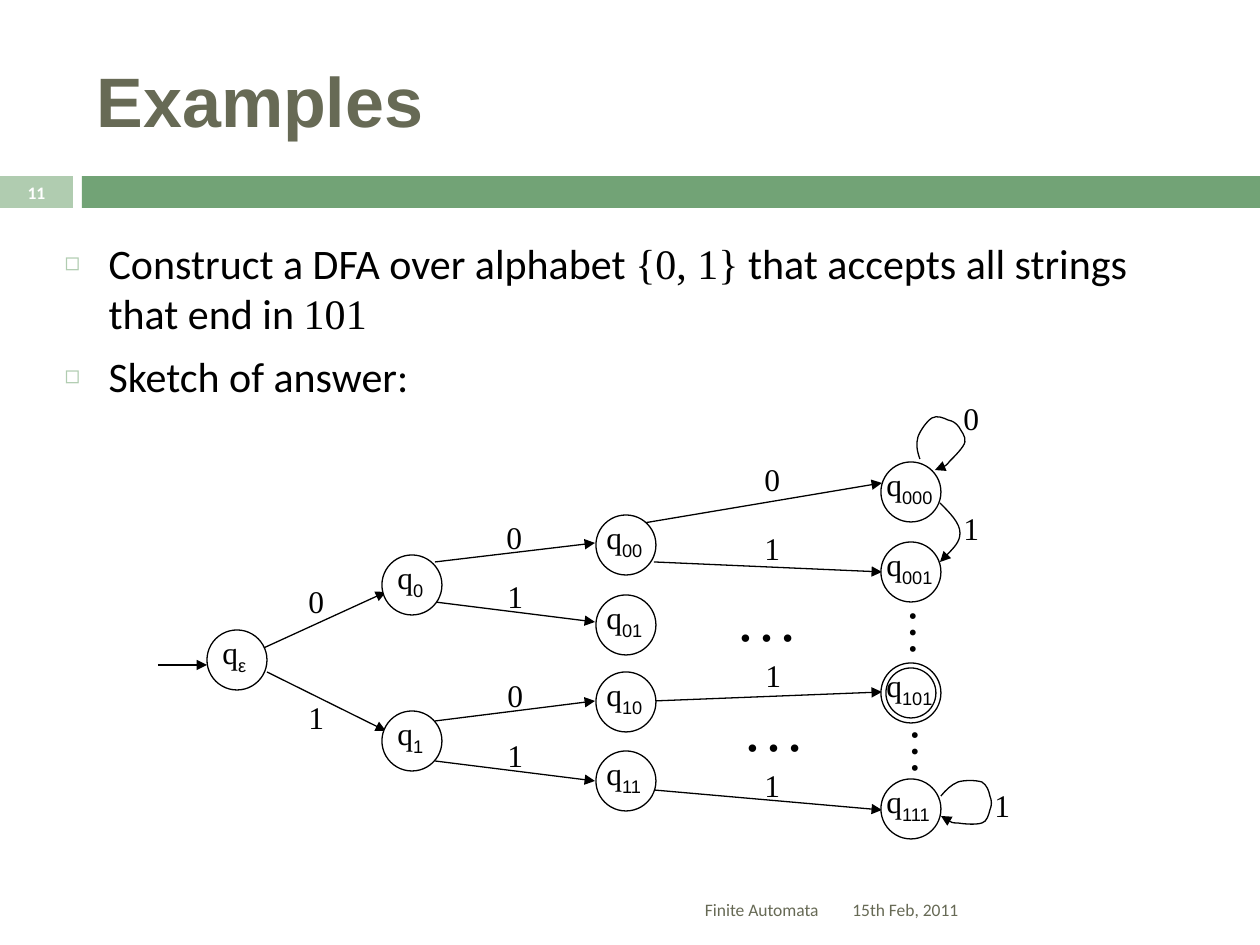
import pptx
import pptx.dml.color
import pptx.enum.shapes
import pptx.enum.text
import pptx.oxml
import pptx.oxml.ns
import pptx.util
from lxml import etree

PX = 914400 // 126
RGBColor = pptx.dml.color.RGBColor
BLACK = RGBColor(0, 0, 0)
WHITE = RGBColor(255, 255, 255)
OLIVE = RGBColor(0x67, 0x6A, 0x55)
GREEN = RGBColor(0x72, 0xA3, 0x76)
PALE_GREEN = RGBColor(0xB0, 0xCC, 0xB0)
SERIF, SANS, BODY = "Times New Roman", "Arial", "Calibri"
ALIGN = pptx.enum.text.PP_ALIGN
ANCHOR = pptx.enum.text.MSO_ANCHOR
AUTO_SIZE = pptx.enum.text.MSO_AUTO_SIZE
SHAPE = pptx.enum.shapes.MSO_SHAPE
RADIUS = 30

# Positions inside the diagram: name -> centre of the state
STATES = {
    "ε": (87, 270),
    "0": (262, 195), "1": (262, 351),
    "00": (476, 155), "01": (476, 235), "10": (476, 312), "11": (476, 391),
    "000": (761, 102), "001": (761, 182), "101": (761, 303), "111": (761, 419),
}
# Start, end, symbol, centre of the symbol
TRANSITIONS = [
    ((8, 275), (57, 275), None, None),
    ((107, 261), (236, 202), "0", (166, 211)),
    ((117, 282), (236, 341), "1", (166, 327)),
    ((285, 172), (445, 153), "0", (364, 147)),
    ((285, 212), (445, 232), "1", (365, 206)),
    ((285, 331), (445, 311), "0", (365, 305)),
    ((285, 371), (445, 391), "1", (365, 365)),
    ((494, 133), (732, 93), "0", (622, 89)),
    ((504, 172), (732, 182), "1", (622, 158)),
    ((504, 311), (732, 302), "1", (623, 285)),
    ((504, 400), (732, 420), "1", (622, 395)),
]
# Bézier points (start, then three per segment), symbol, centre of the symbol
CURVES = [
    ([(770, 69), (767, 61), (766, 54), (768, 47), (770, 41), (777, 31), (782, 28),
      (787, 25), (794, 28), (798, 30), (803, 31), (806, 33), (809, 37),
      (811, 41), (816, 46), (815, 52), (814, 57), (805, 66), (800, 71),
      (796, 76), (791, 79), (785, 80)], "0", (821, 28)),
    ([(790, 113), (800, 123), (810, 133), (810, 143),
      (810, 152), (800, 162), (790, 172)], "1", (821, 138)),
    ([(791, 406), (796, 400), (801, 395), (808, 392), (814, 390), (826, 390), (832, 392),
      (837, 395), (839, 401), (840, 406), (842, 411), (842, 415), (840, 420),
      (839, 424), (837, 432), (832, 433), (826, 435), (814, 434), (808, 433),
      (801, 433), (796, 429), (791, 426)], "1", (852, 415)),
]
# Centre, box size, font size, rotation
DOTS = [
    ((617, 226), 88, 36, 0), ((624, 336), 88, 36, 0),
    ((746, 243), 73, 28, 270), ((748, 362), 73, 28, 270),
]


def place(shape, left, top, width, height):
    shape.left, shape.top = left * PX, top * PX
    shape.width, shape.height = width * PX, height * PX


def add_run(paragraph, text, size=18, font=SERIF, color=BLACK, bold=False, subscript=False):
    run = paragraph.add_run()
    run.text = text
    run.font.size = pptx.util.Pt(size)
    run.font.name = font
    run.font.color.rgb = color
    run.font.bold = bold
    if subscript:
        run._r.get_or_add_rPr().set("baseline", "-25000")


def add_text(shapes, box, text, wrap=False, align=ALIGN.LEFT, anchor=ANCHOR.TOP,
             rotation=0, **text_format):
    shape = shapes.add_textbox(*(value * PX for value in box))
    shape.rotation = rotation
    frame = shape.text_frame
    frame.word_wrap = wrap
    frame.auto_size = AUTO_SIZE.NONE if wrap else AUTO_SIZE.SHAPE_TO_FIT_TEXT
    frame.vertical_anchor = anchor
    paragraph = frame.paragraphs[0]
    paragraph.alignment = align
    add_run(paragraph, text, **text_format)
    return paragraph


def add_filled(shapes, kind, box, fill=None, line=None):
    shape = shapes.add_shape(kind, *(value * PX for value in box))
    shape.shadow.inherit = False
    if fill is None:
        shape.fill.background()
    else:
        shape.fill.solid()
        shape.fill.fore_color.rgb = fill
    if line is None:
        shape.line.fill.background()
    else:
        shape.line.color.rgb = line
        shape.line.width = pptx.util.Pt(0.75)


def style_arrow(shape):
    shape.line.color.rgb = BLACK
    shape.line.width = pptx.util.Pt(0.75)
    tail = etree.SubElement(shape.line._get_or_add_ln(), pptx.oxml.ns.qn("a:tailEnd"))
    tail.set("type", "triangle")
    etree.SubElement(shape._element.spPr, pptx.oxml.ns.qn("a:effectLst"))


def add_curve(shapes, points, left, top):
    builder = shapes.build_freeform(left + points[0][0], top + points[0][1], scale=PX)
    builder.add_line_segments([(left + x, top + y) for x, y in points[1:]], close=False)
    shape = builder.convert_to_shape()
    shape.fill.background()
    style_arrow(shape)
    # Join each three straight steps into one Bézier segment
    qn = pptx.oxml.ns.qn
    steps = list(shape._element.iter(qn("a:lnTo")))
    for index in range(0, len(steps), 3):
        segment = etree.Element(qn("a:cubicBezTo"))
        steps[index].addprevious(segment)
        for step in steps[index:index + 3]:
            segment.append(step[0])
            step.getparent().remove(step)


def add_circle(shapes, x, y, radius, fill=None):
    add_filled(shapes, SHAPE.OVAL, (x - radius, y - radius, 2 * radius, 2 * radius),
               fill, BLACK)


def add_symbol(shapes, symbol, x, y):
    add_text(shapes, (x - 20, y - 25, 40, 50), symbol)


def add_state(shapes, name, x, y):
    add_circle(shapes, x, y, RADIUS, WHITE)
    width = 46 + 10 * len(name)
    label = add_text(shapes, (x + 1 - width // 2, y - RADIUS - 3, width, 50), "q")
    add_run(label, name, font=SANS, subscript=True)


def add_automaton(slide, left, top):
    shapes = slide.shapes.add_group_shape().shapes
    for start, end, symbol, centre in TRANSITIONS:
        connector = shapes.add_connector(
            pptx.enum.shapes.MSO_CONNECTOR.STRAIGHT,
            (left + start[0]) * PX, (top + start[1]) * PX,
            (left + end[0]) * PX, (top + end[1]) * PX)
        style_arrow(connector)
        if symbol:
            add_symbol(shapes, symbol, left + centre[0], top + centre[1])
    for name, (x, y) in STATES.items():
        add_state(shapes, name, left + x, top + y)
    x, y = STATES["101"]
    add_circle(shapes, left + x, top + y, 25)
    for points, symbol, (x, y) in CURVES:
        add_curve(shapes, points, left, top)
        add_symbol(shapes, symbol, left + x, top + y)
    for (x, y), side, size, rotation in DOTS:
        box = (left + x - side // 2, top + y - side // 2, side, side)
        add_text(shapes, box, "…", size=size, rotation=rotation)


def add_title(slide, text, box):
    title = slide.shapes.title
    place(title, *box)
    title.text_frame.vertical_anchor = ANCHOR.MIDDLE
    paragraph = title.text_frame.paragraphs[0]
    paragraph.alignment = ALIGN.LEFT
    add_run(paragraph, text, size=40, font=SANS, color=OLIVE, bold=True)


def add_bullets(slide, items, box):
    body = slide.placeholders[1]
    place(body, *box)
    frame = body.text_frame
    frame.auto_size = AUTO_SIZE.NONE
    for index, runs in enumerate(items):
        paragraph = frame.add_paragraph() if index else frame.paragraphs[0]
        properties = paragraph._p.get_or_add_pPr()
        properties.set("marL", str(44 * PX))
        properties.set("indent", str(-44 * PX))
        namespace = pptx.oxml.ns.nsdecls("a")
        for xml in (f'<a:buClr {namespace}><a:srgbClr val="{PALE_GREEN}"/></a:buClr>',
                    f'<a:buSzPct {namespace} val="60000"/>',
                    f'<a:buChar {namespace} char="◻"/>'):
            properties.append(pptx.oxml.parse_xml(xml))
        paragraph.space_before = pptx.util.Pt(7 if index else 0)
        for text, font in runs:
            add_run(paragraph, text, size=24, font=font)


def add_band(slide, top, number):
    add_filled(slide.shapes, SHAPE.RECTANGLE, (0, top, 73, 32), PALE_GREEN)
    add_filled(slide.shapes, SHAPE.RECTANGLE, (82, top, 1178, 32), GREEN)
    add_text(slide.shapes, (0, top - 1, 73, 34), number, wrap=True, align=ALIGN.CENTER,
             anchor=ANCHOR.MIDDLE, size=10, font=BODY, color=WHITE, bold=True)


def add_footer(slide, top):
    for text, left, width, align in (("Finite Automata", 84, 747, ALIGN.RIGHT),
                                     ("15th Feb, 2011", 840, 368, ALIGN.LEFT)):
        add_text(slide.shapes, (left, top, width, 50), text, wrap=True, align=align,
                 anchor=ANCHOR.MIDDLE, size=10, font=BODY, color=OLIVE)


def main():
    presentation = pptx.Presentation()
    presentation.slide_width, presentation.slide_height = 1260 * PX, 945 * PX
    slide = presentation.slides.add_slide(presentation.slide_layouts[1])
    add_band(slide, 176, "11")
    add_title(slide, "Examples", (84, 32, 1124, 136))
    add_bullets(slide, [
        [("Construct a DFA over alphabet ", BODY), ("{0, 1}", SERIF),
         (" that accepts all strings that end in ", BODY), ("101", SERIF)],
        [("Sketch of answer:", BODY)],
    ], (52, 231, 1152, 214))
    add_automaton(slide, 150, 390)
    add_footer(slide, 885)
    presentation.save("out.pptx")


if __name__ == "__main__":
    main()
